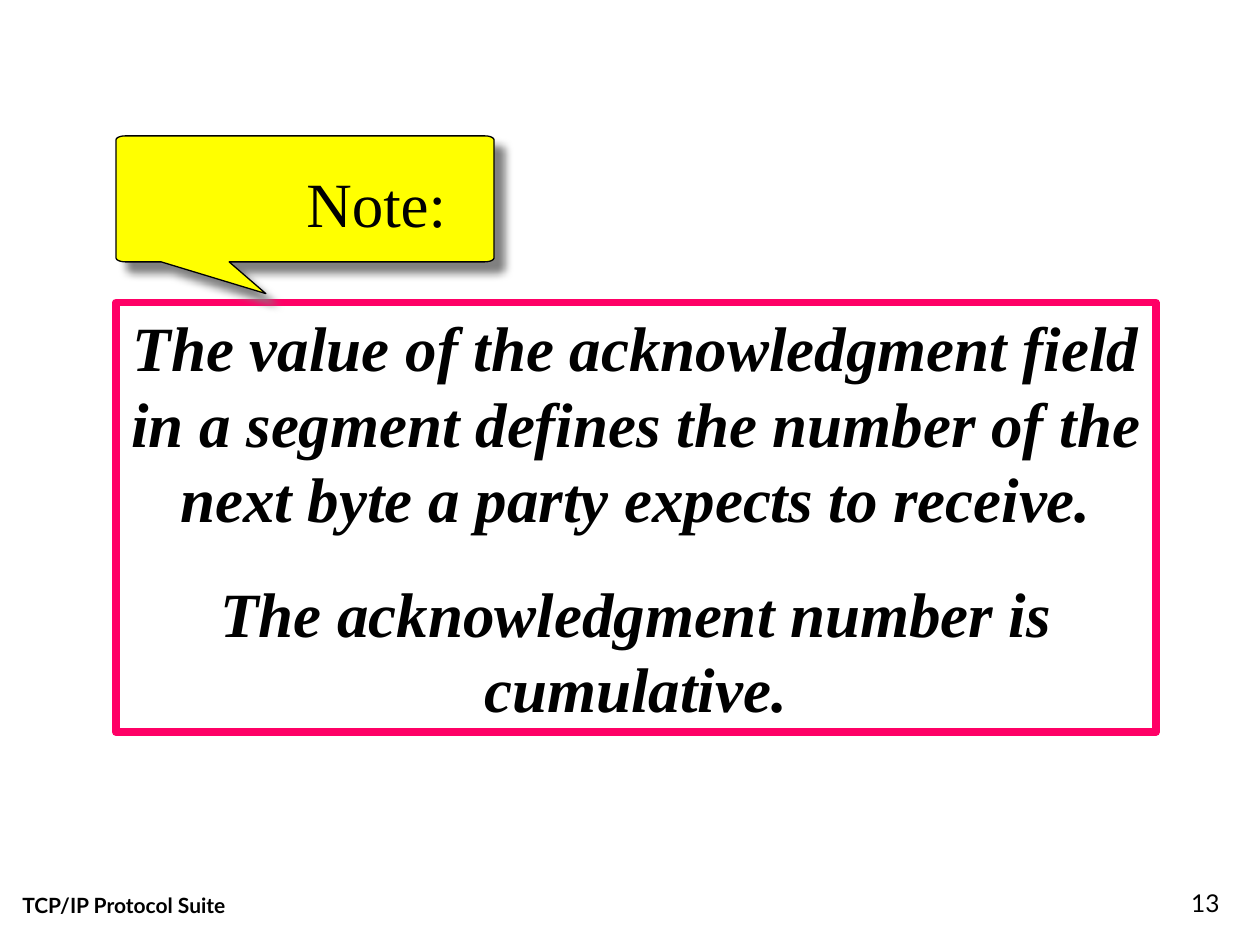
import math

import pptx
import pptx.dml.color
import pptx.enum.shapes
import pptx.enum.text
import pptx.oxml
import pptx.oxml.ns
import pptx.util

Cm = pptx.util.Cm
Pt = pptx.util.Pt
RGBColor = pptx.dml.color.RGBColor
PP_ALIGN = pptx.enum.text.PP_ALIGN
MSO_ANCHOR = pptx.enum.text.MSO_ANCHOR

BLACK = RGBColor(0, 0, 0)
WHITE = RGBColor(255, 255, 255)
PINK = RGBColor(255, 0, 102)
YELLOW = RGBColor(255, 255, 0)
SERIF, SANS = "Times New Roman", "Lato"

HEADING = "Note:"
STATEMENTS = [
    "The value of the acknowledgment field in a segment defines the number of "
    "the next byte a party expects to receive.",
    "The acknowledgment number is cumulative.",
]
FOOTERS = [
    ("TCP/IP Protocol Suite", (0.2, 17.35, 8.05, 1.27), 12, True, PP_ALIGN.LEFT),
    ("13", (19.56, 17.35, 5.28, 1.27), 14, False, PP_ALIGN.RIGHT),
]
HEADING_BOX = (5.92, 3.18, 3.33, 1.78)
STATEMENT_BOX = (2.34, 6.1, 20.96, 8.66)
CALLOUT_BOX = (2.34, 2.74, 7.62, 2.54)
CORNER = (0.19, 0.08)
POINTER = [(4.62, 5.28), (5.36, 5.92), (3.25, 5.28)]
SHADOW = (
    '<a:effectLst %s><a:outerShdw blurRad="63500" dist="107950" dir="2700000" '
    'algn="ctr" rotWithShape="0"><a:srgbClr val="808080"/></a:outerShdw>'
    "</a:effectLst>" % pptx.oxml.ns.nsdecls("a")
)


def set_text(sp, paragraphs, font=SERIF, size=36, bold=False, italic=False,
             align=PP_ALIGN.LEFT, anchor=MSO_ANCHOR.TOP, gap=0, spacing=None):
    tf = sp.text_frame
    tf.word_wrap = True
    tf.auto_size = pptx.enum.text.MSO_AUTO_SIZE.NONE
    tf.vertical_anchor = anchor
    for i, text in enumerate(paragraphs):
        p = tf.add_paragraph() if i else tf.paragraphs[0]
        p.alignment = align
        p.space_before = Pt(gap if i else 0)
        if spacing:
            p.line_spacing = Pt(spacing)
        r = p.add_run()
        r.text = text
        r.font.name = font
        r.font.size = Pt(size)
        r.font.bold = bold
        r.font.italic = italic
        r.font.color.rgb = BLACK


def paint(sp, fill, line, width):
    sp.shadow.inherit = False
    sp.fill.solid()
    sp.fill.fore_color.rgb = fill
    sp.line.color.rgb = line
    sp.line.width = Pt(width)


def callout_outline():
    x, y, w, h = CALLOUT_BOX
    rx, ry = CORNER
    centers = [(x + w - rx, y + h - ry), (x + rx, y + h - ry),
               (x + rx, y + ry), (x + w - rx, y + ry)]
    points = []
    for i, (cx, cy) in enumerate(centers):
        for step in range(7):
            angle = math.radians(90 * i + 15 * step)
            points.append((cx + rx * math.cos(angle), cy + ry * math.sin(angle)))
        if i == 0:
            points += POINTER
    return [(Cm(px), Cm(py)) for px, py in points]


prs = pptx.Presentation()
prs.slide_width, prs.slide_height = Cm(25.4), Cm(19.05)
slide = prs.slides.add_slide(prs.slide_layouts[5])
slide.background.fill.solid()
slide.background.fill.fore_color.rgb = WHITE

for text, box, size, bold, align in FOOTERS:
    sp = slide.shapes.add_textbox(*map(Cm, box))
    set_text(sp, [text], font=SANS, size=size, bold=bold, align=align,
             anchor=MSO_ANCHOR.BOTTOM)

sp = slide.shapes.add_shape(pptx.enum.shapes.MSO_SHAPE.RECTANGLE,
                            *map(Cm, STATEMENT_BOX))
paint(sp, WHITE, PINK, 4.5)
set_text(sp, STATEMENTS, bold=True, italic=True, align=PP_ALIGN.CENTER,
         gap=22, spacing=43.2)

outline = callout_outline()
builder = slide.shapes.build_freeform(*outline[0])
builder.add_line_segments(outline[1:], close=True)
callout = builder.convert_to_shape()
paint(callout, YELLOW, BLACK, 0.75)
spPr = callout.element.spPr
spPr.replace(spPr.find(pptx.oxml.ns.qn("a:effectLst")), pptx.oxml.parse_xml(SHADOW))

title = slide.shapes.title
title.left, title.top, title.width, title.height = map(Cm, HEADING_BOX)
set_text(title, [HEADING], spacing=43.2)
title.element.getparent().append(title.element)

prs.save("out.pptx")
